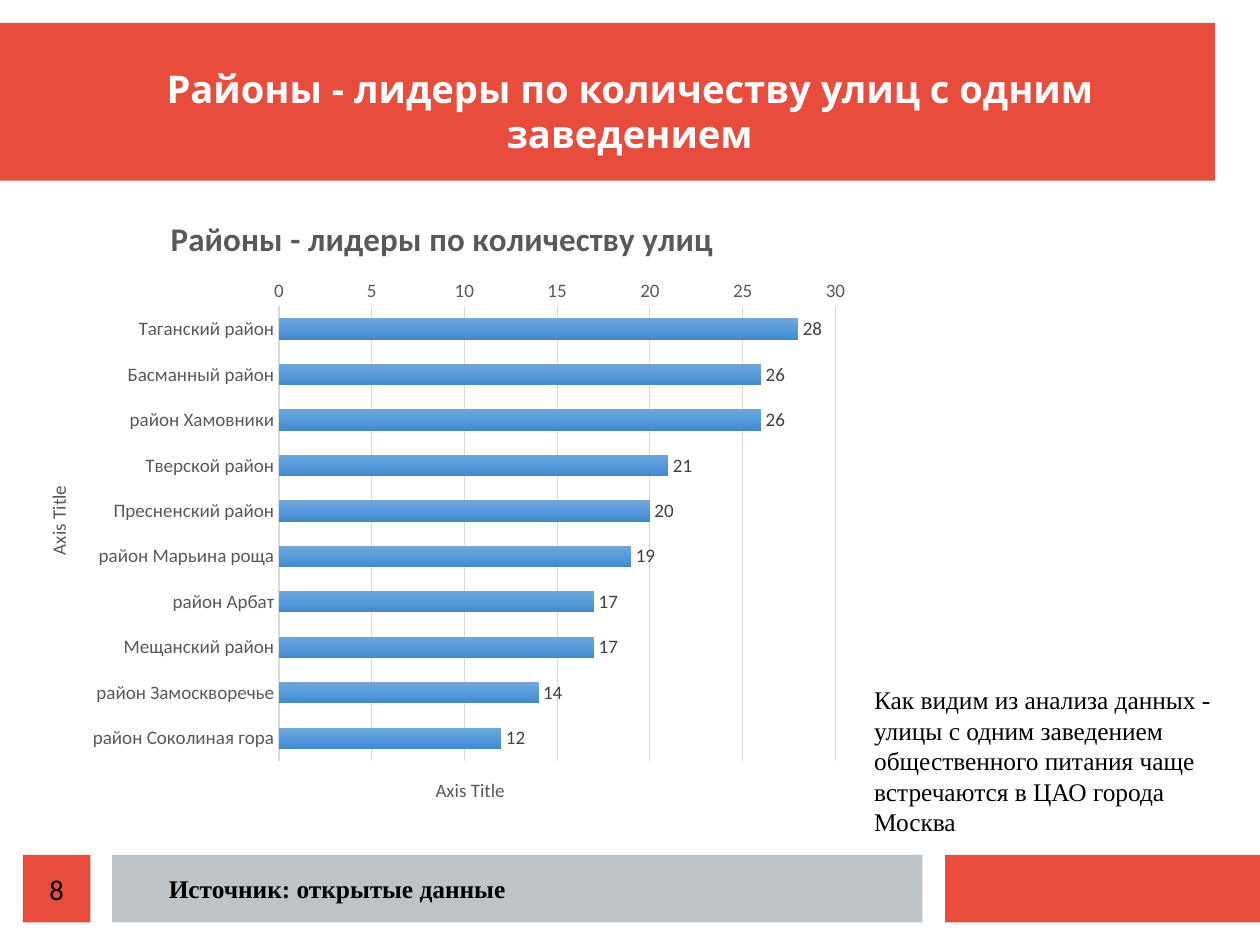
from copy import deepcopy

from lxml import etree
from pptx import Presentation
from pptx.chart.data import CategoryChartData
from pptx.dml.color import RGBColor
from pptx.enum.chart import XL_CHART_TYPE, XL_LABEL_POSITION, XL_TICK_MARK
from pptx.enum.shapes import MSO_SHAPE
from pptx.enum.text import MSO_ANCHOR, PP_ALIGN
from pptx.oxml.ns import qn
from pptx.util import Inches, Pt

BAR_CLUSTERED = XL_CHART_TYPE.BAR_CLUSTERED
OUTSIDE_END = XL_LABEL_POSITION.OUTSIDE_END
NO_TICK = XL_TICK_MARK.NONE
RECTANGLE = MSO_SHAPE.RECTANGLE
TOP, MIDDLE, BOTTOM = MSO_ANCHOR.TOP, MSO_ANCHOR.MIDDLE, MSO_ANCHOR.BOTTOM
LEFT, CENTER = PP_ALIGN.LEFT, PP_ALIGN.CENTER

RED = RGBColor(0xE7, 0x4C, 0x3C)
SILVER = RGBColor(0xBD, 0xC3, 0xC7)
WHITE = RGBColor(0xFF, 0xFF, 0xFF)
BLACK = RGBColor(0x00, 0x00, 0x00)
AXIS_GRAY = RGBColor(0x59, 0x59, 0x59)
LABEL_GRAY = RGBColor(0x40, 0x40, 0x40)
GRID_GRAY = RGBColor(0xD9, 0xD9, 0xD9)
BAR_BLUES = (RGBColor(0x71, 0xA6, 0xDB), RGBColor(0x55, 0x9B, 0xDB),
             RGBColor(0x44, 0x8A, 0xCA))

SERIF = "Times New Roman"
CM_PER_INCH = 2.54
FOOTER_TOP, FOOTER_HEIGHT = 7.48, 0.59
CHART_WIDTH, CHART_HEIGHT = 7.35, 5.54
STREETS = {
    "Таганский район": 28,
    "Басманный район": 26,
    "район Хамовники": 26,
    "Тверской район": 21,
    "Пресненский район": 20,
    "район Марьина роща": 19,
    "район Арбат": 17,
    "Мещанский район": 17,
    "район Замоскворечье": 14,
    "район Соколиная гора": 12,
}


def style_font(font, name, size, color, bold=False):
    """Set typeface, size, colour and weight of a font."""
    font.name = name
    font.size = Pt(size)
    font.color.rgb = color
    font.bold = bold


def write(tf, text, name, size, color, bold=False, align=CENTER, anchor=MIDDLE, inset=(0, 0)):
    """Write one styled run into a wrapping text frame."""
    tf.word_wrap = True
    tf.vertical_anchor = anchor
    tf.margin_left = tf.margin_right = Inches(inset[0])
    tf.margin_top = tf.margin_bottom = Inches(inset[1])
    p = tf.paragraphs[0]
    p.alignment = align
    r = p.add_run()
    r.text = text
    style_font(r.font, name, size, color, bold)


def add_block(s, left, top, width, height, color):
    """Add a plain filled rectangle."""
    sp = s.shapes.add_shape(RECTANGLE, Inches(left), Inches(top), Inches(width), Inches(height))
    sp.shadow.inherit = False
    sp.fill.solid()
    sp.fill.fore_color.rgb = color
    sp.line.fill.background()
    return sp


def add_text(s, left, top, width, height, text, *font, **layout):
    """Add a text box holding one paragraph."""
    sp = s.shapes.add_textbox(Inches(left), Inches(top), Inches(width), Inches(height))
    write(sp.text_frame, text, *font, **layout)


def place(element, index, x, y, size=None):
    """Place a chart part, in inches from the chart's corner."""
    for old in element.findall(qn("c:layout")):
        element.remove(old)
    layout = etree.Element(qn("c:layout"))
    manual = etree.SubElement(layout, qn("c:manualLayout"))
    fractions = {"x": x / CHART_WIDTH, "y": y / CHART_HEIGHT}
    if size:
        etree.SubElement(manual, qn("c:layoutTarget"), val="inner")
        fractions.update(w=size[0] / CHART_WIDTH, h=size[1] / CHART_HEIGHT)
    for key in ("x", "y"):
        etree.SubElement(manual, qn(f"c:{key}Mode"), val="edge")
    for key, value in fractions.items():
        etree.SubElement(manual, qn(f"c:{key}"), val=str(value))
    element.insert(index, layout)


def set_title(title, text, size, bold, x, y):
    """Write and place a chart or axis title."""
    r = title.text_frame.paragraphs[0].add_run()
    r.text = text
    style_font(r.font, "Calibri", size, AXIS_GRAY, bold)
    place(title.element, 1, x, y)


def style_axis(axis, x, y):
    """Style an axis and place its title."""
    axis.major_tick_mark = axis.minor_tick_mark = NO_TICK
    style_font(axis.tick_labels.font, "Calibri", 12, AXIS_GRAY)
    set_title(axis.axis_title, "Axis Title", 12, False, x, y)


def fill_bars(chart):
    """Fill the bars with a vertical three-stop gradient."""
    fill = chart.plots[0].series[0].format.fill
    fill.gradient()
    fill.gradient_angle = 270
    stops = chart.element.find(".//" + qn("a:gsLst"))
    stops.insert(1, deepcopy(stops[0]))
    for i, (stop, color) in enumerate(zip(fill.gradient_stops, BAR_BLUES)):
        stop.position = i / 2
        stop.color.rgb = color


def add_street_chart(s):
    """Add the bar chart of streets by district."""
    data = CategoryChartData()
    data.categories = list(STREETS)
    data.add_series("Series 1", list(STREETS.values()))
    chart = s.shapes.add_chart(BAR_CLUSTERED, Inches(0.2), Inches(1.71),
                               Inches(CHART_WIDTH), Inches(CHART_HEIGHT), data).chart
    style_font(chart.font, "Calibri", 10, BLACK)
    chart.has_legend = False
    chart.has_title = True
    set_title(chart.chart_title, "Районы - лидеры по количеству улиц", 20.8, True, 1.24, 0.12)
    place(chart.element.find(".//" + qn("c:plotArea")), 0, 2.24, 0.97, (4.87, 3.98))

    districts, counts = chart.category_axis, chart.value_axis
    style_axis(districts, 0.17, 2.51)
    districts.reverse_order = True
    districts.format.line.color.rgb = GRID_GRAY
    districts.format.line.width = Pt(1)
    style_axis(counts, 3.58, 5.06)
    counts.minimum_scale, counts.maximum_scale, counts.major_unit = 0, 30, 5
    counts.format.line.fill.background()
    grid = counts.major_gridlines.format.line
    grid.color.rgb = GRID_GRAY
    grid.width = Pt(0.75)

    plot = chart.plots[0]
    plot.vary_by_categories = False
    plot.gap_width, plot.overlap = 115, -20
    labels = plot.series[0].data_labels
    labels.show_value = True
    labels.position = OUTSIDE_END
    style_font(labels.font, "Calibri", 12, LABEL_GRAY)
    fill_bars(chart)


def main():
    """Build the slide and save it."""
    prs = Presentation()
    prs.slide_width, prs.slide_height = Inches(28 / CM_PER_INCH), Inches(21 / CM_PER_INCH)
    s = prs.slides.add_slide(prs.slide_layouts[6])

    add_block(s, 0, 0.2, 10.63, 1.38, RED)
    for left, width, color in ((8.27, 2.76, RED), (0.98, 7.09, SILVER)):
        add_block(s, left, FOOTER_TOP, width, FOOTER_HEIGHT, color)
    number = add_block(s, 0.2, FOOTER_TOP, 0.59, FOOTER_HEIGHT, RED)
    write(number.text_frame, "8", "Calibri", 18, BLACK)

    add_text(s, 0.39, 0.39, 10.24, 0.98, "Районы - лидеры по количеству улиц с одним заведением",
             "Noto Sans", 24, WHITE, True, anchor=BOTTOM)
    add_text(s, 1.18, FOOTER_TOP, 3.54, FOOTER_HEIGHT, "Источник: открытые данные",
             SERIF, 16, BLACK, True)
    add_street_chart(s)
    add_text(s, 7.55, 5.94, 3.2, 1.45,
             "Как видим из анализа данных - улицы с одним заведением "
             "общественного питания чаще встречаются в ЦАО города Москва",
             SERIF, 16, BLACK, align=LEFT, anchor=TOP, inset=(0.1, 0.05))
    prs.save("out.pptx")


if __name__ == "__main__":
    main()
